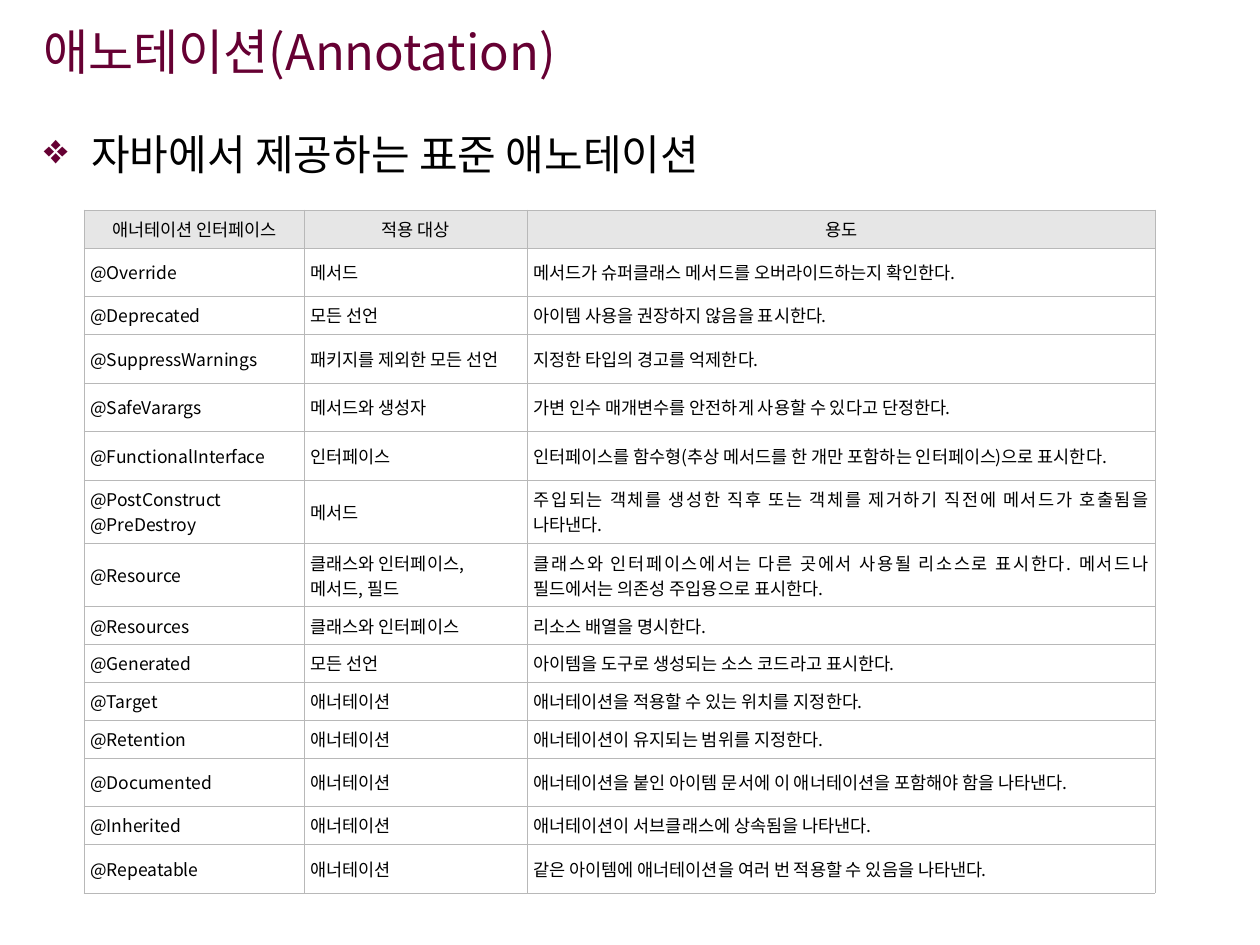
from lxml import etree
from pptx import Presentation
from pptx import util as u
from pptx.dml import color
from pptx.enum import text
from pptx.oxml import ns

FONT = "Noto Sans CJK KR"
BLACK, PLUM, HEADER_GREY, RULE_GREY = "000000", "660033", "E6E6E6", "B8B8B8"
LOW, TALL, DOUBLE = 21.6, 27.8, 36.2
COLUMN_WIDTHS = (126, 127.4, 358.6)
HEADINGS = ("애너테이션 인터페이스", "적용 대상", "용도")
ANNOTATIONS = (
    (TALL, "@Override", "메서드", "메서드가 슈퍼클래스 메서드를 오버라이드하는지 확인한다."),
    (LOW, "@Deprecated", "모든 선언", "아이템 사용을 권장하지 않음을 표시한다."),
    (TALL, "@SuppressWarnings", "패키지를 제외한 모든 선언", "지정한 타입의 경고를 억제한다."),
    (TALL, "@SafeVarargs", "메서드와 생성자",
     "가변 인수 매개변수를 안전하게 사용할 수 있다고 단정한다."),
    (TALL, "@FunctionalInterface", "인터페이스",
     "인터페이스를 함수형(추상 메서드를 한 개만 포함하는 인터페이스)으로 표시한다."),
    (DOUBLE, "@PostConstruct\n@PreDestroy", "메서드",
     "주입되는 객체를 생성한 직후 또는 객체를 제거하기 직전에 메서드가 호출됨을 나타낸다."),
    (DOUBLE, "@Resource", "클래스와 인터페이스,\n메서드, 필드",
     "클래스와 인터페이스에서는 다른 곳에서 사용될 리소스로 표시한다. "
     "메서드나 필드에서는 의존성 주입용으로 표시한다."),
    (LOW, "@Resources", "클래스와 인터페이스", "리소스 배열을 명시한다."),
    (LOW, "@Generated", "모든 선언", "아이템을 도구로 생성되는 소스 코드라고 표시한다."),
    (LOW, "@Target", "애너테이션", "애너테이션을 적용할 수 있는 위치를 지정한다."),
    (LOW, "@Retention", "애너테이션", "애너테이션이 유지되는 범위를 지정한다."),
    (TALL, "@Documented", "애너테이션",
     "애너테이션을 붙인 아이템 문서에 이 애너테이션을 포함해야 함을 나타낸다."),
    (LOW, "@Inherited", "애너테이션", "애너테이션이 서브클래스에 상속됨을 나타낸다."),
    (TALL, "@Repeatable", "애너테이션",
     "같은 아이템에 애너테이션을 여러 번 적용할 수 있음을 나타낸다."),
)


def rgb(hex_code):
    return color.RGBColor.from_string(hex_code)


def add_element(parent, tag, **attributes):
    return etree.SubElement(parent, ns.qn(tag), attributes)


class SlideWriter:
    """Places styled text and tables on the current slide."""

    def __init__(self, slide, font):
        self.slide = slide
        self.font = font

    def style(self, paragraph, size, hex_code, align):
        paragraph.alignment = align
        paragraph.font.size = u.Pt(size)
        paragraph.font.color.rgb = rgb(hex_code)
        paragraph.font.name = self.font
        defaults = paragraph._p.get_or_add_pPr().find(ns.qn("a:defRPr"))
        add_element(defaults, "a:ea", typeface=self.font)

    def line(self, wording, box, size, hex_code, anchor, top_inset=3.6, bullet=None):
        frame = self.slide.shapes.add_textbox(*map(u.Pt, box)).text_frame
        frame.word_wrap = True
        frame.vertical_anchor = anchor
        frame.margin_top = u.Pt(top_inset)
        paragraph = frame.paragraphs[0]
        paragraph.text = wording
        if bullet:
            self.bullet(paragraph, *bullet)
        self.style(paragraph, size, hex_code, text.PP_ALIGN.LEFT)

    def bullet(self, paragraph, mark, hex_code, indent):
        properties = paragraph._p.get_or_add_pPr()
        properties.set("marL", str(u.Pt(indent)))
        properties.set("indent", str(-u.Pt(indent)))
        add_element(add_element(properties, "a:buClr"), "a:srgbClr", val=hex_code)
        add_element(properties, "a:buChar", char=mark)

    def borders(self, cell, hex_code, width):
        properties = cell._tc.get_or_add_tcPr()
        for side in "LRTB":
            edge = add_element(properties, f"a:ln{side}", w=str(u.Pt(width)))
            add_element(add_element(edge, "a:solidFill"), "a:srgbClr", val=hex_code)

    def cell(self, cell, wording, align, fill=None):
        cell.text = wording
        cell.vertical_anchor = text.MSO_ANCHOR.MIDDLE
        cell.margin_left = cell.margin_right = u.Pt(3.6)
        cell.margin_top = cell.margin_bottom = u.Pt(3.6)
        self.borders(cell, RULE_GREY, 0.34)
        if fill:
            cell.fill.solid()
            cell.fill.fore_color.rgb = rgb(fill)
        else:
            cell.fill.background()
        for paragraph in cell.text_frame.paragraphs:
            self.style(paragraph, 10, BLACK, align)

    def table(self, left, top, widths, headings, records):
        heights = [LOW] + [record[0] for record in records]
        box = (left, top, sum(widths), sum(heights))
        grid = self.slide.shapes.add_table(
            len(heights), len(widths), *map(u.Pt, box)).table
        grid.first_row = grid.horz_banding = False
        for column, width in zip(grid.columns, widths):
            column.width = u.Pt(width)
        for row, height in zip(grid.rows, heights):
            row.height = u.Pt(height)
        for index, heading in enumerate(headings):
            self.cell(grid.cell(0, index), heading, text.PP_ALIGN.CENTER, HEADER_GREY)
        for number, (_, *wordings) in enumerate(records, 1):
            for index, wording in enumerate(wordings):
                self.cell(grid.cell(number, index), wording, text.PP_ALIGN.JUSTIFY)


def main():
    deck = Presentation()
    deck.slide_width, deck.slide_height = u.Pt(720), u.Pt(540)
    writer = SlideWriter(deck.slides.add_slide(deck.slide_layouts[6]), FONT)
    writer.line("자바에서 제공하는 표준 애노테이션", (18, 73.5, 684, 450), 24, BLACK,
                text.MSO_ANCHOR.TOP, top_inset=0, bullet=("❖", PLUM, 27))
    writer.line("애노테이션(Annotation)", (18, 6.5, 595.5, 45.5), 28, PLUM,
                text.MSO_ANCHOR.MIDDLE)
    writer.table(48, 120, COLUMN_WIDTHS, HEADINGS, ANNOTATIONS)
    deck.save("out.pptx")


if __name__ == "__main__":
    main()
